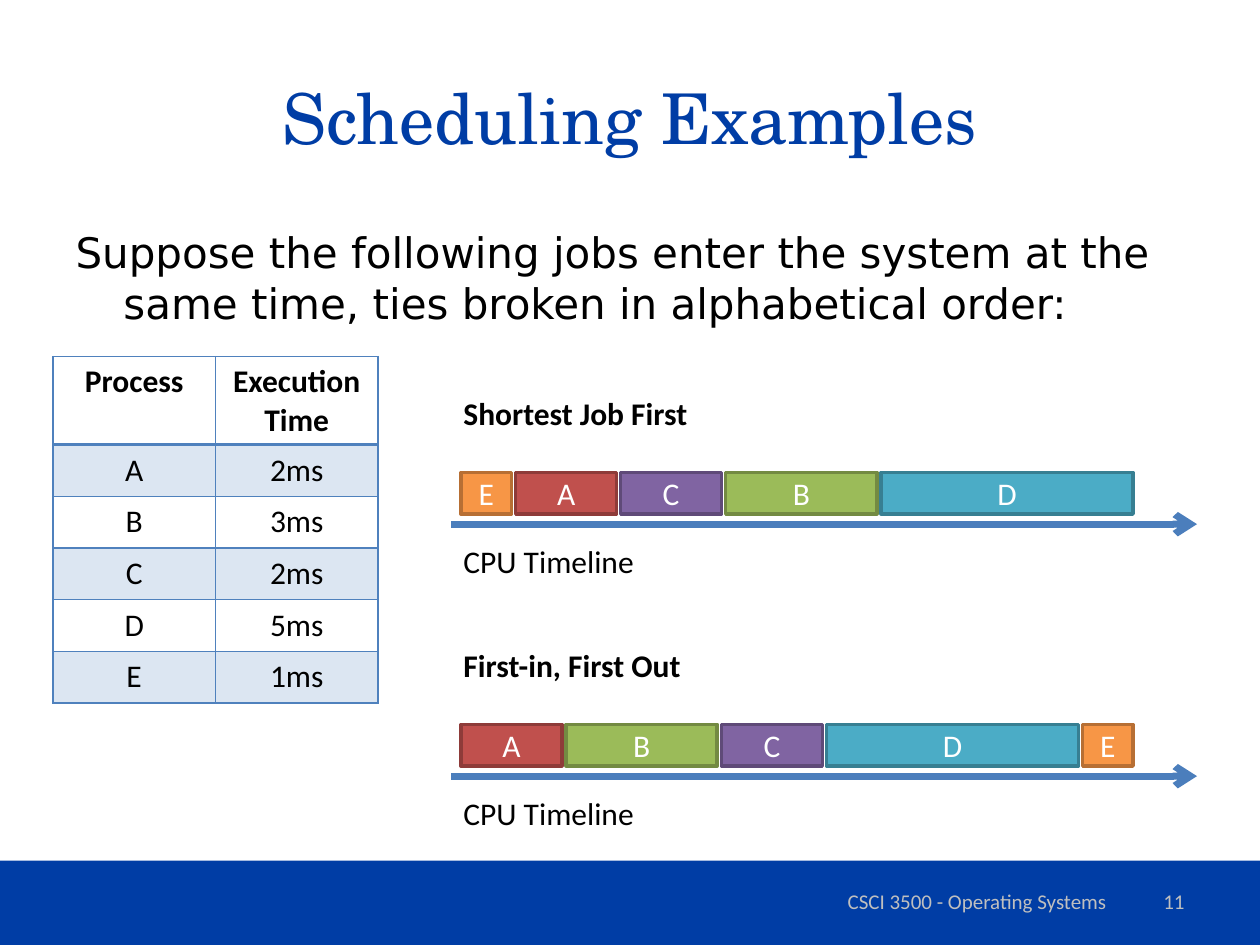
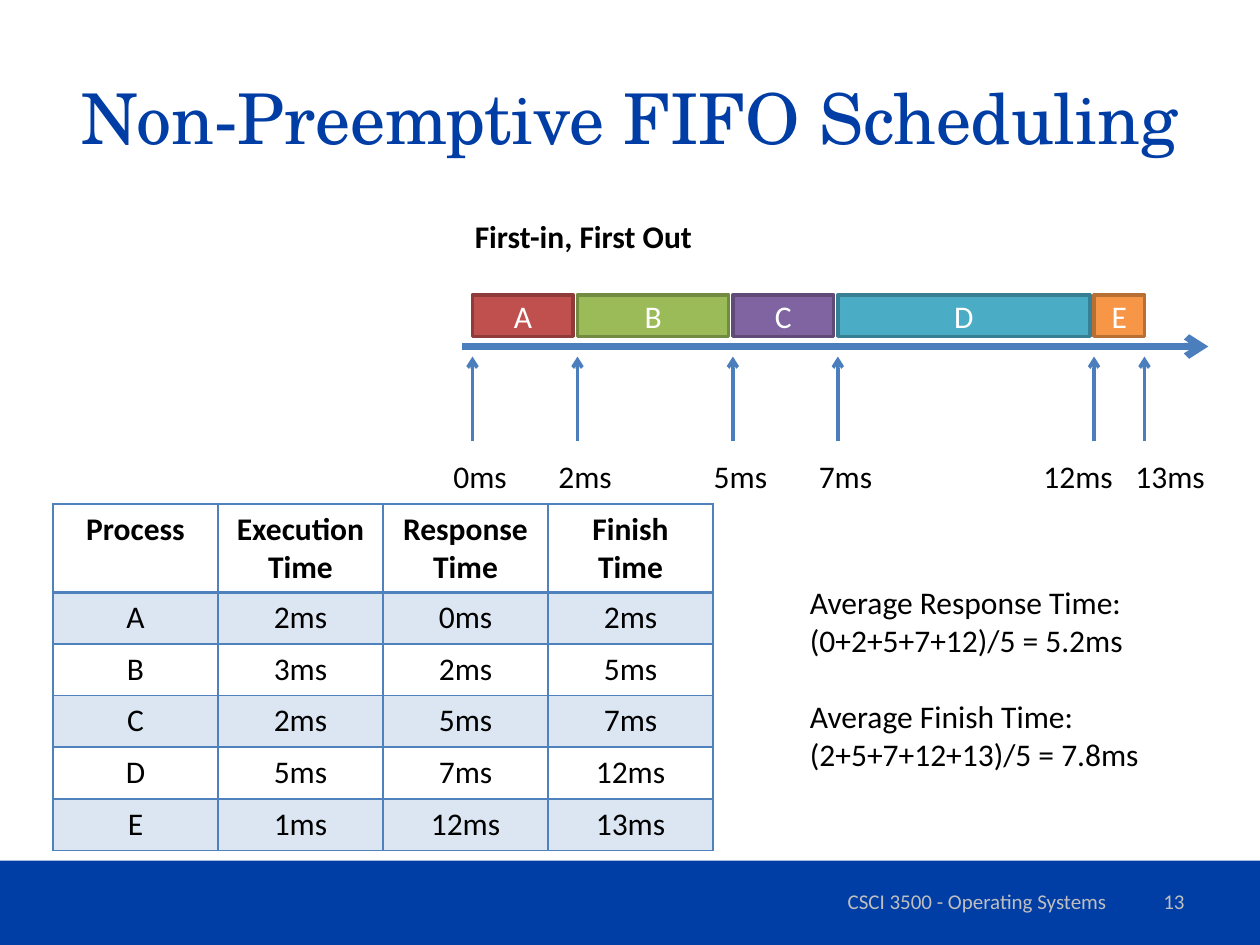
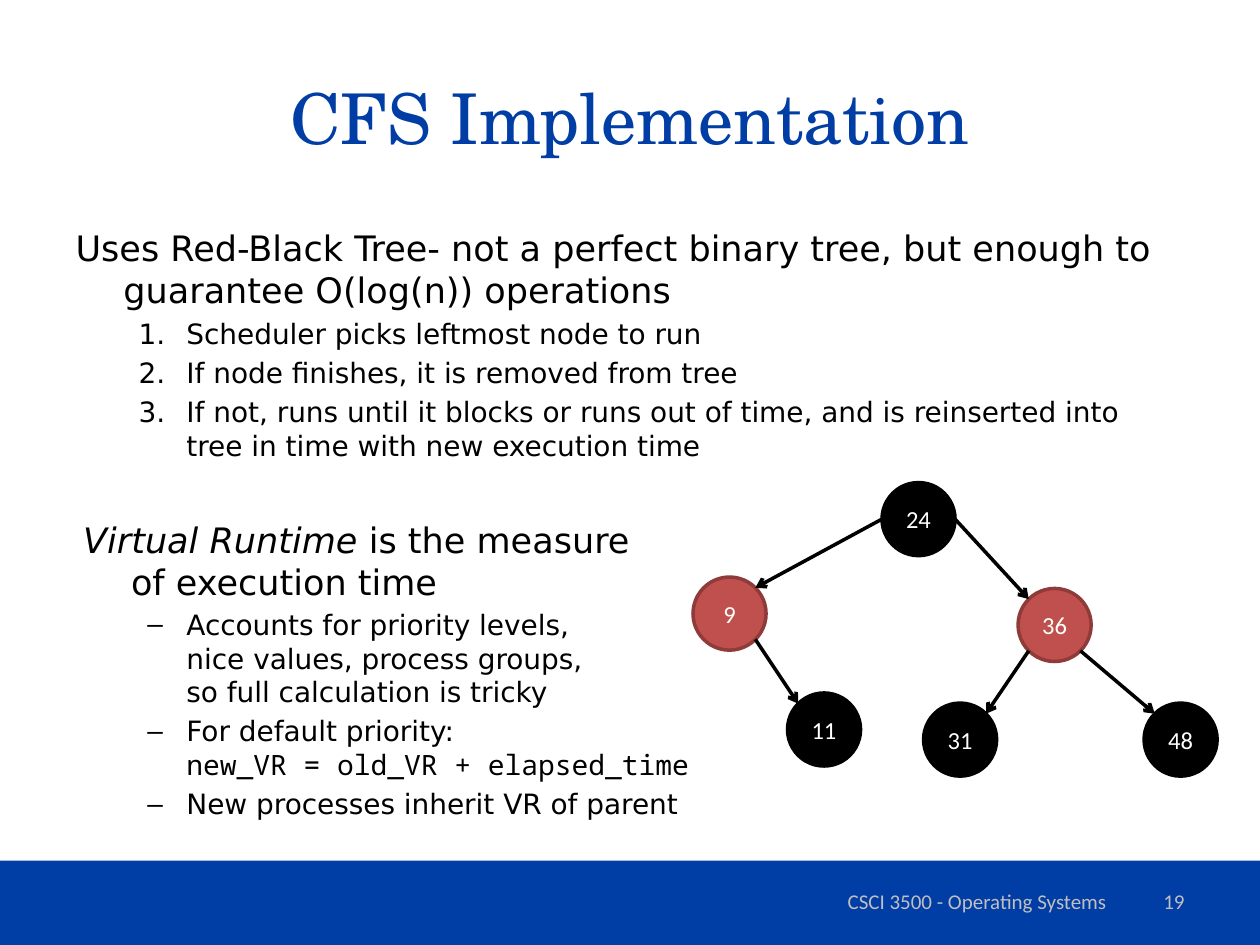
from itertools import accumulate
from math import sqrt

from lxml.etree import SubElement
from pptx import Presentation
from pptx.dml.color import RGBColor
from pptx.enum.shapes import MSO_CONNECTOR, MSO_SHAPE
from pptx.enum.text import MSO_ANCHOR, MSO_AUTO_SIZE, PP_ALIGN
from pptx.oxml.ns import qn
from pptx.util import Inches, Pt

COLORS = {
    "brand": "003DA5", "ink": "000000", "paper": "FFFFFF", "muted": "BFBFBF",
    "arrow": "4B7EBC", "grid": "4F81BD", "stripe": "DCE6F2",
    "red": "C0504D", "red edge": "8E3B39",
    "green": "9BBB59", "green edge": "738A42",
    "purple": "8064A2", "purple edge": "5F4A78",
    "teal": "4BACC6", "teal edge": "377F92",
    "orange": "F79646", "orange edge": "B76F34",
}
SANS, SERIF, BODY, MONO = "Calibri", "TeX Gyre Schola", "DejaVu Sans", "Noto Sans Mono"
JOBS = {"A": (2, "red"), "B": (3, "green"), "C": (2, "purple"),
        "D": (5, "teal"), "E": (1, "orange")}
SCALE = 0.4
GAP = 1 / 30
NODE = 0.58


def rgb(name):
    return RGBColor.from_string(COLORS[name])


def write(para, text, size=18, font=SANS, color="ink", bold=False, italic=False, align=None):
    """Append text to a paragraph; a newline becomes a line break."""
    if align is not None:
        para.alignment = align
    for i, line in enumerate(text.split("\n")):
        if i:
            para.add_line_break()
        if line:
            run = para.add_run()
            run.text = line
            style = run.font
            style.size, style.name = Pt(size), font
            style.bold, style.italic = bold, italic
            style.color.rgb = rgb(color)


def label(slide, left, top, width, text, wrap=False, height=0.4, after=0, **style):
    """Add a text box; each item of a list becomes a paragraph."""
    box = slide.shapes.add_textbox(*map(Inches, (left, top, width, height)))
    frame = box.text_frame
    frame.word_wrap = wrap
    if wrap:
        frame.vertical_anchor = MSO_ANCHOR.MIDDLE
    else:
        frame.auto_size = MSO_AUTO_SIZE.SHAPE_TO_FIT_TEXT
    parts = [text] if isinstance(text, str) else text
    for i, part in enumerate(parts):
        para = frame.add_paragraph() if i else frame.paragraphs[0]
        if i:
            para.space_before = Pt(after)
        write(para, part, **style)


def block(slide, kind, box, fill, edge=None, text="", **style):
    shape = slide.shapes.add_shape(kind, *map(Inches, box))
    shape.shadow.inherit = False
    shape.fill.solid()
    shape.fill.fore_color.rgb = rgb(fill)
    if edge:
        shape.line.color.rgb = rgb(edge)
        shape.line.width = Pt(2)
    else:
        shape.line.fill.background()
    if text:
        frame = shape.text_frame
        frame.margin_left = frame.margin_right = 0
        frame.margin_top = frame.margin_bottom = 0
        frame.vertical_anchor = MSO_ANCHOR.MIDDLE
        write(frame.paragraphs[0], text, color="paper", align=PP_ALIGN.CENTER, **style)
    return shape


def arrow(slide, start, end, color="arrow", width=2):
    line = slide.shapes.add_connector(MSO_CONNECTOR.STRAIGHT, *map(Inches, (*start, *end)))
    line.line.color.rgb = rgb(color)
    line.line.width = Pt(width)
    SubElement(line.line._get_or_add_ln(), qn("a:tailEnd"), type="arrow")
    SubElement(line._element.spPr, qn("a:effectLst"))


def add_band(deck, slide):
    """Draw the bottom band and hand it to the slide master, behind all else."""
    band = block(slide, MSO_SHAPE.RECTANGLE, (0, 6.83, 10, 0.67), "brand").element
    band.nvSpPr.cNvPr.set("id", "20")
    deck.slide_master.shapes.element.insert(2, band)


def place(shape, left, top, width, height):
    shape.left, shape.top = Inches(left), Inches(top)
    shape.width, shape.height = Inches(width), Inches(height)


def start(deck, layout, title, number):
    """Add a slide with its title and footer."""
    slide = deck.slides.add_slide(deck.slide_layouts[layout])
    head = slide.shapes.title
    place(head, 0.5, 0.3, 9, 1.25)
    head.text_frame.vertical_anchor = MSO_ANCHOR.MIDDLE
    head.text_frame.auto_size = MSO_AUTO_SIZE.NONE
    write(head.text_frame.paragraphs[0], title, size=40, font=SERIF, color="brand",
          align=PP_ALIGN.CENTER)
    note = dict(wrap=True, size=12, color="muted")
    label(slide, 6.17, 6.95, 3.17, "CSCI 3500 - Operating Systems",
          align=PP_ALIGN.CENTER, **note)
    label(slide, 7.17, 6.95, 2.33, str(number), align=PP_ALIGN.RIGHT, **note)
    return slide


def body(slide, items):
    """Fill the body from (runs, size, margin, indent, bullet, space before)."""
    holder = slide.placeholders[1]
    place(holder, 0.5, 1.75, 9, 4.95)
    frame = holder.text_frame
    frame.auto_size = MSO_AUTO_SIZE.NONE
    for i, (runs, size, margin, indent, bullet, space) in enumerate(items):
        para = frame.add_paragraph() if i else frame.paragraphs[0]
        para.level = 1 if bullet else 0
        para.space_before = Pt(space)
        props = para._p.get_or_add_pPr()
        props.set("marL", str(Inches(margin)))
        props.set("indent", str(Inches(indent)))
        if bullet == "1.":
            SubElement(props, qn("a:buFont"), typeface=BODY)
            SubElement(props, qn("a:buAutoNum"), type="arabicPeriod")
        elif bullet:
            SubElement(props, qn("a:buFont"), typeface="Arial")
            SubElement(props, qn("a:buChar"), char=bullet)
        else:
            SubElement(props, qn("a:buNone"))
        for text, style in runs:
            write(para, text, **{"size": size, "font": BODY, **style})


def border(cell, **widths):
    """Draw the cell's sides, given as L, R, T and B widths in points."""
    props = cell._tc.get_or_add_tcPr()
    for side, width in widths.items():
        line = SubElement(props, qn(f"a:ln{side}"), w=str(Pt(width)))
        fill = SubElement(line, qn("a:solidFill"))
        SubElement(fill, qn("a:srgbClr"), val=COLORS["grid"])


def grid(slide, left, top, column, rows):
    size = map(Inches, (left, top, column * len(rows[0]), 2.73))
    table = slide.shapes.add_table(len(rows), len(rows[0]), *size).table
    table.horz_banding = False
    for col in table.columns:
        col.width = Inches(column)
    for r, row in enumerate(rows):
        table.rows[r].height = Inches(0.41 if r else 0.68)
        for c, text in enumerate(row):
            cell = table.cell(r, c)
            write(cell.text_frame.paragraphs[0], text, bold=r == 0, align=PP_ALIGN.CENTER)
            border(cell, L=1, R=1, T=2 if r == 1 else 1, B=1 if r else 2)
            if r % 2:
                cell.fill.solid()
                cell.fill.fore_color.rgb = rgb("stripe")
            else:
                cell.fill.background()


def timeline(slide, left, top, title, width, order):
    """Draw the jobs in order and return where each starts and the last ends."""
    label(slide, left, top, width, title, bold=True)
    x = left + 0.08
    marks = []
    for job in order:
        length, color = JOBS[job]
        marks.append(x)
        block(slide, MSO_SHAPE.RECTANGLE, (x, top + 0.67, length * SCALE, 0.33),
              color, f"{color} edge", job, size=18)
        x += length * SCALE + GAP
    arrow(slide, (left, top + 1.08), (left + 5.92, top + 1.08), width=4)
    return marks + [x - GAP]


def ticks(slide, top, marks, times):
    shifts = (0.25, 0.25, 0.25, 0.25, 0.5, 0.17)
    for x, time, shift in zip(marks, times, shifts):
        arrow(slide, (x, top + 0.67), (x, top))
        label(slide, x - shift, top + 0.75, 0.76 if time > 9 else 0.63, f"{time}ms")


def tree(slide, left, top):
    nodes = {24: (1.5, 0, "ink"), 9: (0, 0.75, "red"), 36: (2.58, 0.84, "red"),
             11: (0.75, 1.67, "ink"), 31: (1.83, 1.75, "ink"), 48: (3.58, 1.75, "ink")}
    edges = ((24, 9), (24, 36), (9, 11), (36, 31), (36, 48))
    for key, (x, y, color) in nodes.items():
        edge = "ink" if color == "ink" else f"{color} edge"
        block(slide, MSO_SHAPE.OVAL, (left + x, top + y, NODE, NODE), color, edge,
              str(key), size=14)
    radius = NODE / 2
    slant = radius / sqrt(2)
    for parent, child in edges:
        x1, y1 = (v + radius for v in nodes[parent][:2])
        x2, y2 = (v + radius for v in nodes[child][:2])
        side = 1 if x2 > x1 else -1
        out, drop = (radius, 0) if parent == 24 else (slant, slant)
        arrow(slide, (left + x1 + side * out, top + y1 + drop),
              (left + x2 - side * slant, top + y2 - slant), color="ink")


def examples(deck):
    slide = start(deck, 1, "Scheduling Examples", 11)
    add_band(deck, slide)
    text = ("Suppose the following jobs enter the system at the same time, "
            "ties broken in alphabetical order:")
    body(slide, [([(text, {})], 24, 0.38, -0.38, None, 0)])
    rows = [(job, f"{length}ms") for job, (length, _) in JOBS.items()]
    grid(slide, 0.42, 2.83, 1.29, [("Process", "Execution Time")] + rows)
    for top, title, width, order in ((3.08, "Shortest Job First", 1.99, "EACBD"),
                                     (5.08, "First-in, First Out", 1.94, "ABCDE")):
        timeline(slide, 3.58, top, title, width, order)
        label(slide, 3.58, top + 1.17, 1.57, "CPU Timeline")


def fifo(deck):
    slide = start(deck, 5, "Non-Preemptive FIFO Scheduling", 13)
    times = [0, *accumulate(length for length, _ in JOBS.values())]
    rows = [("Process", "Execution Time", "Response Time", "Finish Time")]
    for (job, (length, _)), begin, end in zip(JOBS.items(), times, times[1:]):
        rows.append((job, f"{length}ms", f"{begin}ms", f"{end}ms"))
    grid(slide, 0.42, 4, 1.31, rows)
    marks = timeline(slide, 3.67, 1.67, "First-in, First Out", 1.94, "ABCDE")
    ticks(slide, 2.83, marks, times)
    label(slide, 6.33, 4.58, 2.84,
          ["Average Response Time:\n(0+2+5+7+12)/5 = 5.2ms",
           "Average Finish Time:\n(2+5+7+12+13)/5 = 7.8ms"], height=1.62, after=22)


def cfs(deck):
    slide = start(deck, 1, "CFS Implementation", 19)
    steps = ("Scheduler picks leftmost node to run",
             "If node finishes, it is removed from tree",
             "If not, runs until it blocks or runs out of time, and is reinserted "
             "into tree in time with new execution time")
    points = ([("Accounts for priority levels,\nnice values, process groups,\n"
                "so full calculation is tricky", {})],
              [("For default priority:\n", {}),
               ("new_VR = old_VR + elapsed_time", {"font": MONO})],
              [("New processes inherit VR of parent", {})])
    intro = ("Uses Red-Black Tree- not a perfect binary tree, but enough to "
             "guarantee O(log(n)) operations")
    measure = [("Virtual Runtime", {"italic": True}),
               (" is the measure\nof execution time", {})]
    body(slide, [
        ([(intro, {})], 20, 0.38, -0.38, None, 0),
        *(([(step, {})], 16, 0.88, -0.38, "1.", 3.2) for step in steps),
        (measure, 20, 0.44, -0.38, None, 32),
        *((point, 16, 0.88, -0.31, "–", 3.2) for point in points),
    ])
    tree(slide, 5.5, 3.83)


def main():
    deck = Presentation()
    deck.slide_width, deck.slide_height = Inches(10), Inches(7.5)
    examples(deck)
    fifo(deck)
    cfs(deck)
    deck.save("out.pptx")


if __name__ == "__main__":
    main()
